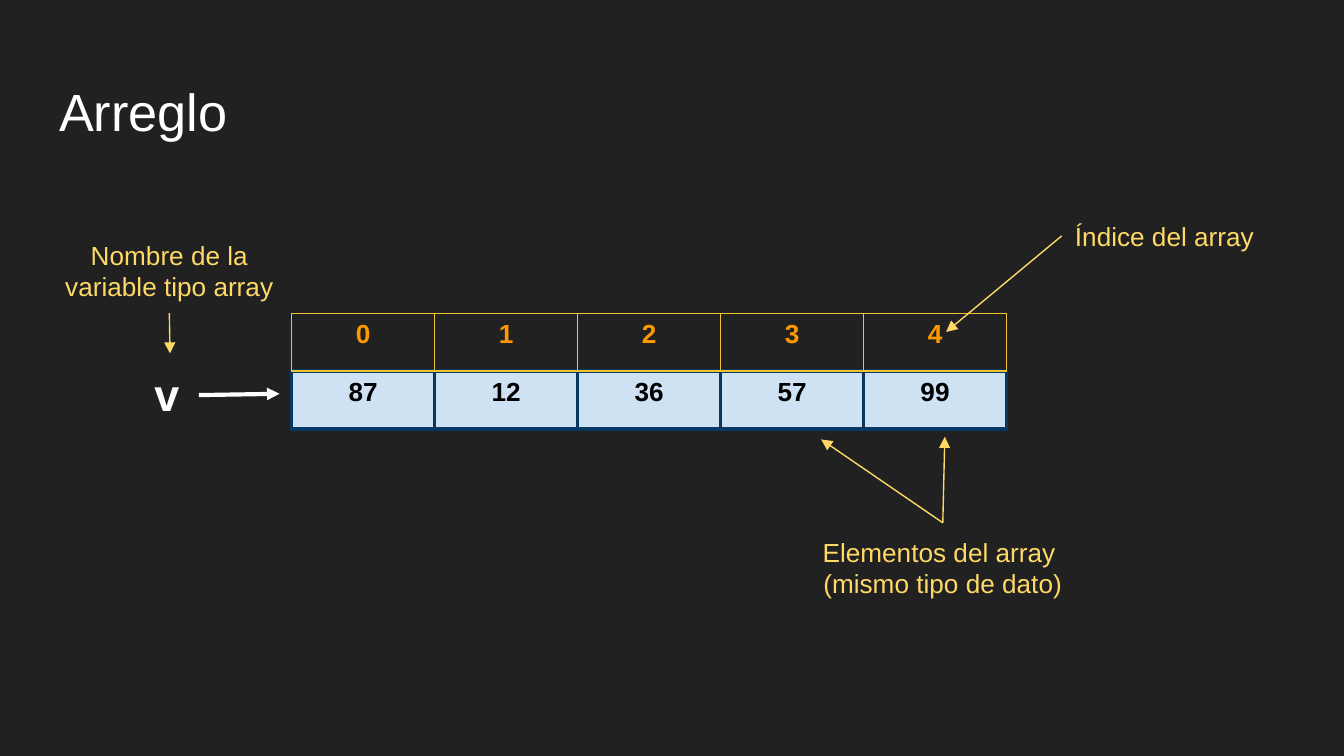
from dataclasses import dataclass

from lxml.etree import SubElement
from pptx import Presentation
from pptx.dml.color import RGBColor
from pptx.enum.shapes import MSO_CONNECTOR
from pptx.enum.text import MSO_ANCHOR, MSO_AUTO_SIZE, PP_ALIGN
from pptx.oxml import parse_xml
from pptx.oxml.ns import nsdecls, qn
from pptx.util import Inches, Pt

TOP, LEFT, BOTTOM, RIGHT = range(4)


@dataclass(frozen=True)
class Theme:
    font: str = "Arial"
    background: str = "212121"
    white: str = "FFFFFF"
    note: str = "FFD966"
    index: str = "FF9900"
    index_border: str = "F1C232"
    value: str = "000000"
    value_fill: str = "CFE2F3"
    value_border: str = "073763"
    title_size: int = 28
    variable_size: int = 24
    text_size: int = 14


def write_text(frame, text, *, font, size, color, bold=False,
               align=PP_ALIGN.LEFT, inset=0.1):
    """Fill a text frame, one paragraph per line of text."""
    frame.word_wrap = True
    frame.margin_left = frame.margin_right = Inches(0.1)
    frame.margin_top = frame.margin_bottom = Inches(inset)
    frame.text = text
    for paragraph in frame.paragraphs:
        paragraph.alignment = align
        paragraph.font.name = font
        paragraph.font.size = Pt(size)
        paragraph.font.bold = bold
        paragraph.font.color.rgb = RGBColor.from_string(color)


class SlideBuilder:
    def __init__(self, slide, theme):
        self.slide = slide
        self.theme = theme
        fill = slide.background.fill
        fill.solid()
        fill.fore_color.rgb = RGBColor.from_string(theme.background)

    def title(self, text, left, top, width, height):
        heading = self.slide.shapes.title
        heading.left, heading.top = Inches(left), Inches(top)
        heading.width, heading.height = Inches(width), Inches(height)
        frame = heading.text_frame
        write_text(frame, text, font=self.theme.font,
                   size=self.theme.title_size, color=self.theme.white)
        frame.auto_size = MSO_AUTO_SIZE.NONE
        frame.vertical_anchor = MSO_ANCHOR.TOP

    def label(self, text, left, top, width, height, **text_format):
        style = dict(font=self.theme.font, size=self.theme.text_size,
                     color=self.theme.note)
        box = self.slide.shapes.add_textbox(
            Inches(left), Inches(top), Inches(width), Inches(height))
        write_text(box.text_frame, text, **(style | text_format))
        return box

    def array_row(self, entries, left, top, width, height, *, color, border,
                  border_width, fill=None):
        row = self.slide.shapes.add_table(
            1, len(entries), Inches(left), Inches(top),
            Inches(width), Inches(height)).table
        row.first_row = row.horz_banding = False
        for cell, entry in zip(row.iter_cells(), entries):
            write_text(cell.text_frame, str(entry), font=self.theme.font,
                       size=self.theme.text_size, color=color, bold=True,
                       align=PP_ALIGN.CENTER, inset=0.05)
            if fill:
                cell.fill.solid()
                cell.fill.fore_color.rgb = RGBColor.from_string(fill)
            else:
                cell.fill.background()
            self.cell_border(cell, border, border_width)

    def cell_border(self, cell, color, width):
        properties = cell._tc.get_or_add_tcPr()
        for position, side in enumerate(("lnL", "lnR", "lnT", "lnB")):
            properties.insert(position, parse_xml(
                f'<a:{side} {nsdecls("a")} w="{Pt(width)}"><a:solidFill>'
                f'<a:srgbClr val="{color}"/></a:solidFill></a:{side}>'))

    def arrow(self, start, end, *, color=None, width=0.75, source=None,
              target=None):
        """Draw an arrow; source and target are (shape, side) joints."""
        connector = self.slide.shapes.add_connector(
            MSO_CONNECTOR.STRAIGHT, *map(Inches, start + end))
        if source:
            connector.begin_connect(*source)
        if target:
            connector.end_connect(*target)
        connector.line.color.rgb = RGBColor.from_string(
            color or self.theme.note)
        connector.line.width = Pt(width)
        SubElement(connector.line._get_or_add_ln(), qn("a:tailEnd"),
                   type="triangle")
        SubElement(connector._element.spPr, qn("a:effectLst"))


def main():
    theme = Theme()
    deck = Presentation()
    # Widescreen, 16:9
    deck.slide_width = Inches(10)
    deck.slide_height = deck.slide_width * 9 // 16
    builder = SlideBuilder(deck.slides.add_slide(deck.slide_layouts[5]), theme)

    builder.title("Arreglo", 0.34, 0.49, 9.32, 0.63)

    # Array: values below their indices
    values = [87, 12, 36, 57, 99]
    left, top, width, height = 2.17, 2.33, 5.32, 0.43
    builder.array_row(values, left, top + height, width, height,
                      color=theme.value, border=theme.value_border,
                      border_width=2.21, fill=theme.value_fill)
    builder.array_row(range(len(values)), left, top, width, height,
                      color=theme.index, border=theme.index_border,
                      border_width=0.75)

    # Index note
    index_note = builder.label("Índice del array", 7.9, 1.54, 1.84, 0.43)
    builder.arrow((7.89, 1.76), (7.04, 2.47), source=(index_note, LEFT))

    # Elements note, pointing at the last two values
    elements_note = builder.label(
        "Elementos del array \n(mismo tipo de dato)", 5.68, 3.89, 2.67, 0.65,
        align=PP_ALIGN.CENTER)
    for tip in ((7.03, 3.25), (6.11, 3.27)):
        builder.arrow((7.02, 3.89), tip, source=(elements_note, TOP))

    # Variable and its note
    variable = builder.label("v", 1.05, 2.63, 0.43, 0.62, bold=True,
                             size=theme.variable_size, color=theme.white)
    builder.arrow((1.47, 2.94), (2.08, 2.93), color=theme.white, width=2.25,
                  source=(variable, RIGHT))
    name_note = builder.label("Nombre de la variable tipo array",
                              0.34, 1.68, 1.84, 0.65, align=PP_ALIGN.CENTER)
    builder.arrow((1.26, 2.33), (1.26, 2.63), source=(name_note, BOTTOM),
                  target=(variable, TOP))

    deck.save("out.pptx")


if __name__ == "__main__":
    main()
